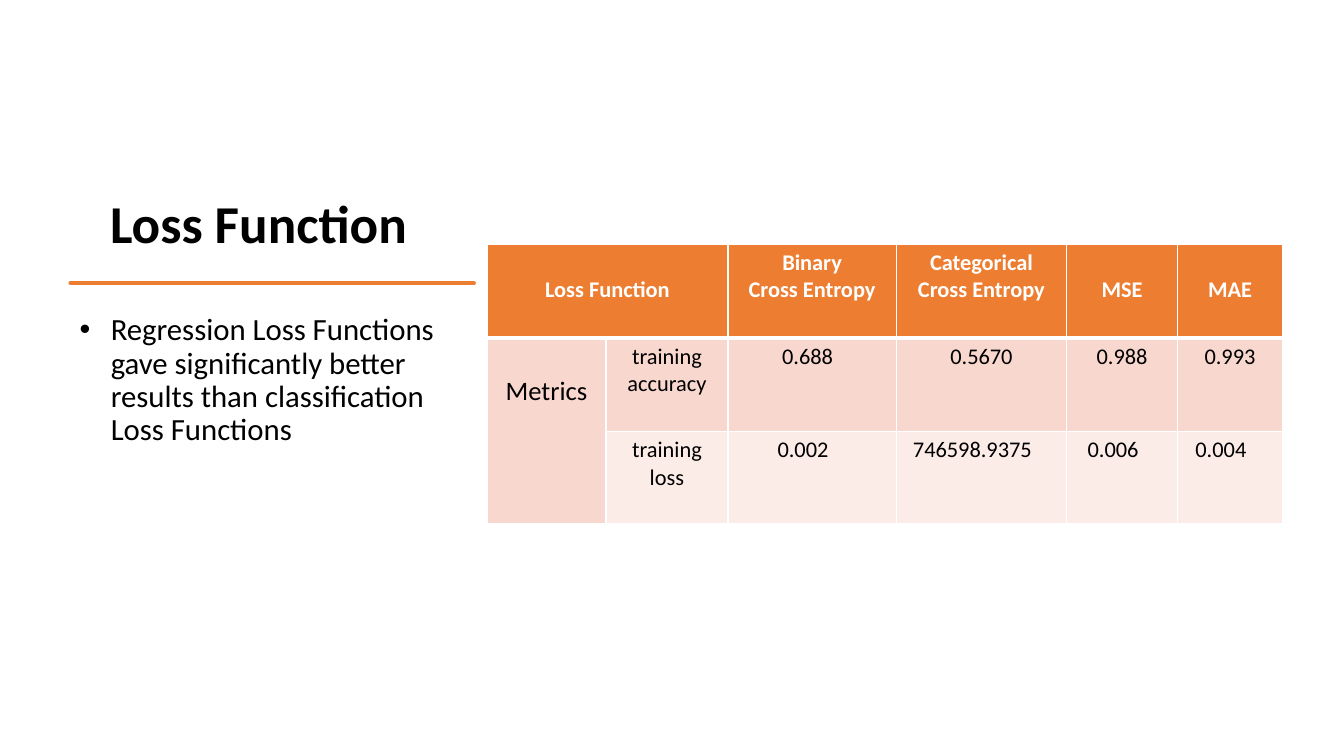
from lxml import etree
from pptx import Presentation, util as u
from pptx.dml.color import RGBColor
from pptx.enum import text
from pptx.oxml.ns import qn

FONT = "Calibri"
BLACK, WHITE, ORANGE = "000000", "FFFFFF", "ED7D31"
ROW_FILLS = [ORANGE, "F8D7CE", "FCECE8"]
LEFT_COLUMN, GAP_TOP = 0.69, 0.05
CELL_SIDE, LINE_HEIGHT = 0.11, 1.22
COLUMNS = [1.18, 1.21, 1.67, 1.69, 1.1, 1.04]
ROWS = [0.93, 0.93, 0.91]
CELLS = [
    ["Loss Function", "", "Binary Cross\u00a0Entropy".replace("\u00a0", chr(160)),
     "Categorical Cross Entropy", "MSE", "MAE"],
    ["Metrics", "training accuracy", "0.688", "0.5670", "0.988", "0.993"],
    ["", "training loss", "0.002", "746598.9375", "0.006", "0.004"],
]
LOWERED = {"Loss Function", "MSE", "MAE", "Metrics"}
STROKE_START = (0, 0)
STROKE_CURVES = [
    [(0.27, -0.02), (0.51, -0.02), (0.68, 0)],
    [(0.85, 0.03), (1.07, 0.01), (1.39, 0)],
    [(1.71, 0), (1.9, 0.02), (2.14, 0)],
    [(2.38, -0.01), (2.69, 0.02), (2.89, 0)],
    [(3.09, -0.01), (3.42, 0.01), (3.56, 0)],
    [(3.56, 0.01), (3.56, 0.02), (3.56, 0.02)],
    [(3.38, 0.03), (2.94, 0.01), (2.78, 0.02)],
    [(2.62, 0.04), (2.34, -0.01), (2, 0.02)],
    [(1.65, 0.05), (1.61, 0.03), (1.29, 0.02)],
    [(0.96, 0.02), (0.62, 0.05), (0, 0.02)],
]


def color(value):
    return RGBColor.from_string(value)


def style(para, size, ink, bold=False):
    for span in para.runs:
        span.font.name = FONT
        span.font.size = u.Pt(size)
        span.font.bold = bold
        span.font.color.rgb = color(ink)


def add_title(page, left, top, width, height):
    title = page.shapes.title
    title.left, title.top = u.Inches(left), u.Inches(top)
    title.width, title.height = u.Inches(width), u.Inches(height)
    frame = title.text_frame
    frame.text = "Loss Function"
    frame.vertical_anchor = text.MSO_ANCHOR.BOTTOM
    para = frame.paragraphs[0]
    para.alignment = text.PP_ALIGN.CENTER
    para.line_spacing = 0.9
    style(para, 38, BLACK, True)


def curve_points(start, curve, steps=8):
    corners = [start] + curve
    for step in range(1, steps + 1):
        t = step / steps
        weights = [(1 - t) ** 3, 3 * t * (1 - t) ** 2, 3 * t * t * (1 - t), t ** 3]
        yield tuple(sum(w * corner[axis] for w, corner in zip(weights, corners))
                    for axis in (0, 1))


def add_brush_stroke(page, left, top):
    points, start = [], STROKE_START
    for curve in STROKE_CURVES:
        points.extend(curve_points(start, curve))
        start = curve[-1]
    builder = page.shapes.build_freeform(*STROKE_START, scale=u.Inches(1))
    builder.add_line_segments(points, close=True)
    stroke = builder.convert_to_shape(u.Inches(left), u.Inches(top))
    stroke.shadow.inherit = False
    stroke.fill.solid()
    stroke.fill.fore_color.rgb = color(ORANGE)
    stroke.line.color.rgb = color(ORANGE)
    stroke.line.width = u.Pt(3)
    etree.SubElement(stroke.line._get_or_add_ln(), qn("a:round"))


def add_finding(page, left, top, width, height):
    box = page.shapes.add_textbox(*map(u.Inches, (left, top, width, height)))
    frame = box.text_frame
    frame.word_wrap = True
    frame.text = ("Regression Loss Functions gave significantly better "
                  "results than classification Loss Functions")
    para = frame.paragraphs[0]
    para.line_spacing = 0.9
    para.space_after = u.Pt(6)
    style(para, 22, BLACK)
    props = para._p.get_or_add_pPr()
    props.set("marL", str(u.Inches(0.31)))
    props.set("indent", str(u.Inches(-0.31)))
    etree.SubElement(props, qn("a:buFont"), typeface="Arial")
    etree.SubElement(props, qn("a:buChar"), char="•")


def set_borders(cell, row):
    props = cell._tc.get_or_add_tcPr()
    widths = {"L": 1, "R": 1, "T": 3 if row == 1 else 1, "B": 3 if row == 0 else 1}
    for side, width in widths.items():
        line = etree.SubElement(props, qn("a:ln" + side), w=str(u.Pt(width)))
        fill = etree.SubElement(line, qn("a:solidFill"))
        etree.SubElement(fill, qn("a:srgbClr"), val=WHITE)


def format_cell(cell, row, column, label):
    set_borders(cell, row)
    cell.fill.solid()
    cell.fill.fore_color.rgb = color(ROW_FILLS[1 if row and column == 0 else row])
    size = 19 if label == "Metrics" else 16
    drop = size * LINE_HEIGHT / 72 if label in LOWERED else 0
    shift = 0.18 if row == 2 and column > 1 else 0.09 if label == "0.688" else 0
    cell.margin_left = u.Inches(CELL_SIDE)
    cell.margin_right = u.Inches(CELL_SIDE + shift)
    cell.margin_top = u.Inches(GAP_TOP + drop)
    cell.margin_bottom = u.Inches(GAP_TOP)
    if label:
        cell.text_frame.text = label
        para = cell.text_frame.paragraphs[0]
        para.alignment = text.PP_ALIGN.CENTER
        style(para, size, BLACK if row else WHITE, row == 0)


def add_results(page, left, top):
    frame = page.shapes.add_table(len(ROWS), len(COLUMNS), *map(
        u.Inches, (left, top, sum(COLUMNS), sum(ROWS))))
    table = frame.table
    table.first_row = table.horz_banding = False
    for column, width in zip(table.columns, COLUMNS):
        column.width = u.Inches(width)
    for row, height in zip(table.rows, ROWS):
        row.height = u.Inches(height)
    for row, labels in enumerate(CELLS):
        for column, label in enumerate(labels):
            format_cell(table.cell(row, column), row, column, label)
    table.cell(0, 0).merge(table.cell(0, 1))
    table.cell(1, 0).merge(table.cell(2, 0))


def main():
    deck = Presentation()
    deck.slide_width, deck.slide_height = u.Inches(13.33), u.Inches(7.5)
    page = deck.slides.add_slide(deck.slide_layouts[5])
    add_title(page, LEFT_COLUMN, 0.7, 3.75, 1.88)
    add_brush_stroke(page, 0.7, 2.81)
    add_finding(page, LEFT_COLUMN, 3.07, 3.75, 3.73)
    add_results(page, 4.83, 2.42)
    deck.save("out.pptx")


if __name__ == "__main__":
    main()
